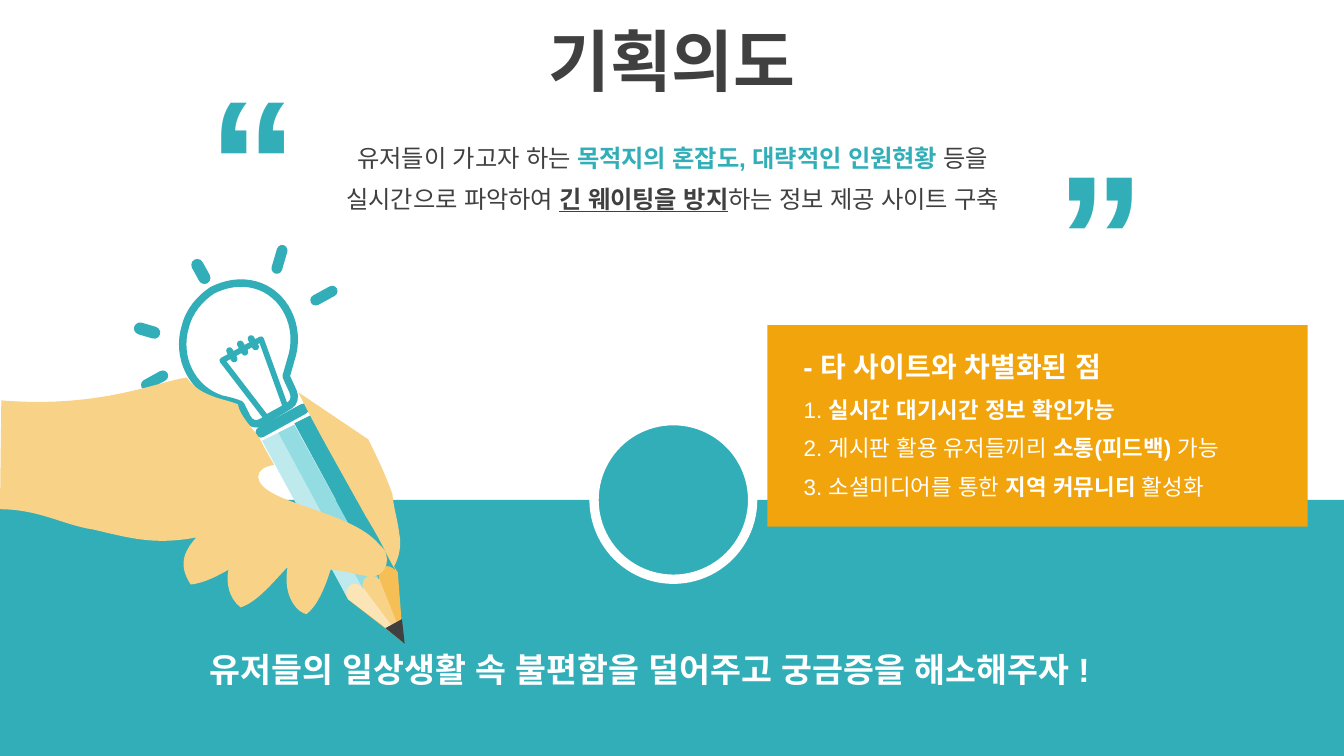
from dataclasses import dataclass

from lxml import etree
from pptx import Presentation
from pptx import util as u
from pptx.dml.color import RGBColor
from pptx.enum import shapes, text
from pptx.oxml import ns

PX = 9144  # the canvas is 1000 px wide, 100 px to the inch
PENCIL_TILT = 331.3
SHAPE = shapes.MSO_SHAPE
CENTER, LEFT = text.PP_ALIGN.CENTER, text.PP_ALIGN.LEFT


@dataclass(frozen=True)
class Theme:
    font: str = "Arial"
    teal: str = "32AEB8"
    teal_mid: str = "92DCE2"
    teal_light: str = "BEEAED"
    orange: str = "F2A40D"
    wood_dark: str = "F6BF56"
    skin: str = "F8D286"
    wood_light: str = "FBE4B6"
    ink: str = "404040"
    white: str = "FFFFFF"
    mark: int = 96
    title: int = 36
    slogan: int = 18
    heading: int = 15
    statement: int = 13
    item: int = 12
    line_gap: int = 6


THEME = Theme()


def px(value):
    return u.Emu(round(value * PX))


def paint(shape, fill, line=None, width=0):
    shape.shadow.inherit = False
    shape.fill.solid()
    shape.fill.fore_color.rgb = RGBColor.from_string(fill)
    if line:
        shape.line.color.rgb = RGBColor.from_string(line)
        shape.line.width = u.Pt(width)
    else:
        shape.line.fill.background()


def add_preset(parent, kind, box, fill, line=None, width=0, rotation=0):
    shape = parent.add_shape(kind, *map(px, box))
    shape.rotation = rotation
    paint(shape, fill, line, width)
    return shape


def add_pill(parent, box, rotation):
    pill = add_preset(parent, SHAPE.ROUNDED_RECTANGLE, box, THEME.teal, rotation=rotation)
    pill.adjustments[0] = 0.5


def bend(shape, contours):
    """Join each three segments that stand for a Bezier step into one curve."""
    segments = iter(list(shape.element.iter(ns.qn("a:lnTo"))))
    for contour in contours:
        for step in contour[1:]:
            segment = next(segments)
            if len(step) == 6:
                segment.tag = ns.qn("a:cubicBezTo")
                for _ in range(2):
                    extra = next(segments)
                    segment.append(extra[0])
                    extra.getparent().remove(extra)


def add_outline(parent, left, top, contours, fill, line=None, width=0):
    """Draw contours of (x, y) corners and (x1, y1, x2, y2, x, y) Bezier steps."""
    builder = None
    for contour in contours:
        start, *points = [(px(left + step[i]), px(top + step[i + 1]))
                          for step in contour for i in range(0, len(step), 2)]
        if builder is None:
            builder = parent.build_freeform(*start)
        else:
            builder.move_to(*start)
        builder.add_line_segments(points)
    shape = builder.convert_to_shape()
    bend(shape, contours)
    paint(shape, fill, line, width)


def write(frame, lines, size, align=LEFT):
    """Fill a frame; each line is a list of (text, colour, bold, underline) runs."""
    frame.word_wrap = True
    frame.auto_size = text.MSO_AUTO_SIZE.NONE
    for index, runs in enumerate(lines):
        para = frame.paragraphs[0] if index == 0 else frame.add_paragraph()
        para.alignment = align
        para.space_before = u.Pt(THEME.line_gap if index else 0)
        for words, colour, bold, underline in runs:
            span = para.add_run()
            span.text = words
            span.font.name = THEME.font
            span.font.size = u.Pt(size)
            span.font.bold = bold
            span.font.underline = underline
            span.font.color.rgb = RGBColor.from_string(colour)
            for script in ("a:ea", "a:cs"):
                etree.SubElement(span._r.get_or_add_rPr(), ns.qn(script), typeface=THEME.font)


def place(shape, box):
    shape.left, shape.top, shape.width, shape.height = map(px, box)


def add_label(page, box, lines, size, align=LEFT, rotation=0):
    label = page.shapes.add_textbox(*map(px, box))
    label.rotation = rotation
    write(label.text_frame, lines, size, align)


def add_backdrop(page, left, top, width, height):
    add_preset(page.shapes, SHAPE.RECTANGLE, (left, top, width, height), THEME.teal)
    add_preset(page.shapes, SHAPE.OVAL, (left + 442, top - 59, 118, 118),
               THEME.teal, THEME.white, 5)
    add_label(page, (left + 146, top + 106, 709, 40),
              [[("유저들의 일상생활 속 불편함을 덜어주고 궁금증을 해소해주자 !",
                 THEME.white, True, False)]], THEME.slogan)


def set_title(page, box):
    title = page.shapes.title
    place(title, box)
    write(title.text_frame, [[("기획의도", THEME.ink, True, False)]], THEME.title, CENTER)
    title.text_frame.vertical_anchor = text.MSO_ANCHOR.MIDDLE


def add_statement(page, left, top, width, height):
    for x, y, rotation in ((left - 5, top - 72, 0), (left + 630, top - 57, 180)):
        add_label(page, (x, y, 82, 172), [[("“", THEME.teal, True, False)]],
                  THEME.mark, CENTER, rotation)
    lines = [
        [("유저들이 가고자 하는 ", THEME.ink, False, False),
         ("목적지의 혼잡도, 대략적인 인원현황", THEME.teal, True, False),
         (" 등을", THEME.ink, False, False)],
        [("실시간으로 파악하여 ", THEME.ink, False, False),
         ("긴 웨이팅을 방지", THEME.ink, True, True),
         ("하는 정보 제공 사이트 구축", THEME.ink, False, False)],
    ]
    add_label(page, (left, top, width, height), lines, THEME.statement, CENTER)


def add_panel(page, left, top, width, height):
    add_preset(page.shapes, SHAPE.RECTANGLE, (left, top, width, height), THEME.orange)
    add_label(page, (left + 17, top + 13, 346, 53),
              [[("- 타 사이트와 차별화된 점", THEME.white, True, False)]], THEME.heading)
    items = [
        (("1. ", False), ("실시간 대기시간 정보 확인가능", True)),
        (("2. 게시판 활용 유저들끼리 ", False), ("소통(피드백)", True), (" 가능", False)),
        (("3. 소셜미디어를 통한 ", False), ("지역 커뮤니티", True), (" 활성화", False)),
    ]
    body = page.placeholders[1]
    body.element.getparent().append(body.element)  # in front of the panel
    place(body, (left + 17, top + 48, 369, 86))
    write(body.text_frame, [[(words, THEME.white, bold, False) for words, bold in item]
                            for item in items], THEME.item)
    for para in body.text_frame.paragraphs:
        properties = para._p.get_or_add_pPr()
        properties.set("marL", "0")
        properties.set("indent", "0")
        etree.SubElement(properties, ns.qn("a:buNone"))


def add_pencil(page, left, top):
    parts = page.shapes.add_group_shape().shapes
    tip = [
        (THEME.wood_dark, [(255, 258), (291, 238), (296, 246), (300, 298), (259, 266)]),
        (THEME.skin, [(267, 251), (279, 244), (282, 250), (301, 298), (271, 259)]),
        (THEME.wood_light, [(255, 258), (267, 251), (268, 253, 269, 255, 270, 257),
                            (300, 297), (259, 266)]),
    ]
    for colour, contour in tip:
        add_outline(parts, left, top, [contour], colour)
    stripe = [(195, 148), (207, 142), (270, 257), (268, 255, 264, 253, 261, 255),
              (258, 257, 257, 260, 258, 264)]
    for index, colour in enumerate((THEME.teal_light, THEME.teal_mid, THEME.teal)):
        add_outline(parts, left + 12 * index, top - 13 * index // 2, [stripe], colour)
    add_preset(parts, SHAPE.ISOSCELES_TRIANGLE, (left + 290, top + 283, 14, 17),
               THEME.ink, rotation=PENCIL_TILT - 180)
    bulb = [(158, 36), (168, 31, 179, 29, 190, 32), (212, 38, 224, 63, 217, 86),
            (213, 100), (218, 111), (220, 115, 219, 120, 215, 122), (195, 134),
            (191, 137, 186, 135, 184, 131), (179, 121), (174, 119, 170, 118, 165, 117),
            (143, 110, 131, 86, 138, 63), (141, 51, 149, 42, 158, 36)]
    add_outline(parts, left, top, [bulb], THEME.white, THEME.teal, 4)
    add_preset(parts, SHAPE.TRAPEZOID, (left + 176, top + 77, 33, 53), THEME.white,
               THEME.teal, 3, PENCIL_TILT - 180)
    rays = [(204, 2, 8, 22, 16.3), (105, 56, 9, 20, 286.3), (145, 12, 9, 20, 331.3),
            (237, 29, 8, 22, 61.3), (111, 92, 8, 22, 241.3)]
    collar = (188, 129, 44, 8, PENCIL_TILT)
    filaments = [(x, y, 5, 12, PENCIL_TILT) for x, y in ((170, 78), (178, 73), (186, 69))]
    for x, y, width, height, rotation in [*rays, collar, *filaments]:
        add_pill(parts, (left + x, top + y, width, height), rotation)


def add_hand(page, left, top):
    back = [(222, 112), (274, 147), (281, 161, 288, 176, 292, 188),
            (293, 199, 296, 207, 297, 217), (299, 225, 297, 235, 293, 242),
            (289, 236, 285, 225, 272, 204), (260, 182, 234, 137, 222, 112)]
    front = [(139, 101), (149, 116, 169, 117, 177, 121), (178, 129, 189, 140, 193, 146),
             (197, 154, 200, 159, 204, 166), (197, 167, 192, 170, 192, 175),
             (194, 195, 260, 199, 282, 225), (293, 234, 287, 248, 278, 249),
             (266, 249, 262, 245, 246, 244), (241, 260, 235, 272, 228, 277),
             (222, 276, 210, 265, 214, 242), (205, 251, 192, 268, 179, 272),
             (170, 265, 168, 253, 170, 244), (163, 248, 152, 254, 142, 255),
             (131, 239, 139, 228, 146, 220), (114, 226, 95, 220, 69, 214),
             (48, 211, 29, 199, 0, 199), (1, 118), (75, 124, 117, 104, 139, 101)]
    add_outline(page.shapes, left, top, [back, front], THEME.skin)


def main():
    deck = Presentation()
    deck.slide_width = px(1000)
    deck.slide_height = deck.slide_width * 9 // 16
    page = deck.slides.add_slide(deck.slide_layouts[1])
    add_backdrop(page, 0, 372, 1000, 191)
    set_title(page, (0, 13, 1000, 63))
    add_statement(page, 150, 102, 701, 61)
    add_panel(page, 571, 242, 402, 150)
    add_pencil(page, 0, 180)
    add_hand(page, 0, 180)
    deck.save("out.pptx")


if __name__ == "__main__":
    main()
